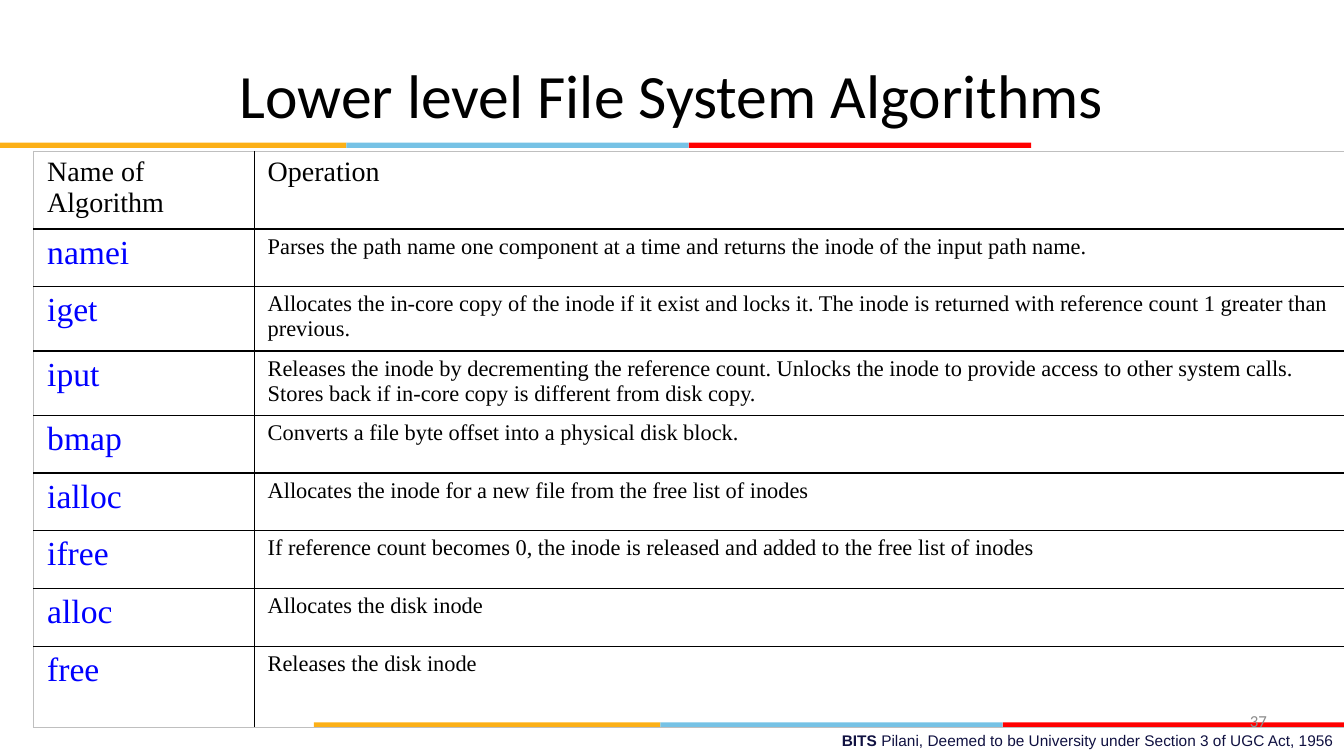
from dataclasses import dataclass

from lxml.etree import SubElement
from pptx import Presentation
from pptx.dml.color import RGBColor
from pptx.enum.shapes import MSO_SHAPE as Preset
from pptx.enum.text import MSO_ANCHOR as Anchor, MSO_AUTO_SIZE as AutoSize, PP_ALIGN as Align
from pptx.oxml.ns import qn
from pptx.slide import Slide
from pptx.table import _Cell as Cell
from pptx.text.text import TextFrame
from pptx.util import Emu, Pt


@dataclass(frozen=True)
class Theme:
    amber: str = "FCB017"
    sky: str = "76C2E5"
    red: str = "FF0000"
    black: str = "000000"
    blue: str = "0000FF"
    navy: str = "101141"
    grey: str = "8C8C8C"
    frame: str = "BFBFBF"
    title_size: int = 44
    name_size: int = 24
    header_size: int = 20
    operation_size: int = 16
    number_size: int = 12
    footer_size: int = 11
    heading_font: str = "Calibri"
    table_font: str = "Times New Roman"
    footer_font: str = "Arial"


@dataclass(frozen=True)
class Style:
    font: str
    size: int
    color: str
    bold: bool = False


@dataclass(frozen=True)
class Box:
    left: int
    top: int
    width: int
    height: int

    def emu(self) -> tuple[Emu, Emu, Emu, Emu]:
        return px(self.left), px(self.top), px(self.width), px(self.height)


@dataclass(frozen=True)
class Algorithm:
    name: str
    operation: str
    height: int = 55


THEME = Theme()
HEADER_STYLE = Style(THEME.table_font, THEME.header_size, THEME.black)
NAME_STYLE = Style(THEME.table_font, THEME.name_size, THEME.blue)
OPERATION_STYLE = Style(THEME.table_font, THEME.operation_size, THEME.black)
BAND = [(THEME.amber, 330), (THEME.sky, 326), (THEME.red, 326)]
COLUMN_WIDTHS = [210, 1038]
ROWS = [
    Algorithm("Name of Algorithm", "Operation", 65),
    Algorithm("namei", "Parses the path name one component at a time and returns the inode of the input path name."),
    Algorithm("iget", "Allocates the in-core copy of the inode if it exist and locks it. "
              "The inode is returned with reference count 1 greater than previous."),
    Algorithm("iput", "Releases the inode by decrementing the reference count. "
              "Unlocks the inode to provide access to other system calls. "
              "Stores back if in-core copy is different from disk copy."),
    Algorithm("bmap", "Converts a file byte offset into a physical disk block."),
    Algorithm("ialloc", "Allocates the inode for a new file from the free list of inodes"),
    Algorithm("ifree", "If reference count becomes 0, the inode is released and added to the free list of inodes"),
    Algorithm("alloc", "Allocates the disk inode"),
    Algorithm("free", "Releases the disk inode", 77),
]


def px(length: int) -> Emu:
    """Turn pixels into EMU."""
    return Emu(length * 9525)


def write(frame: TextFrame, runs: list[tuple[str, Style]], align: Align) -> None:
    """Fill the first paragraph of a frame run by run."""
    frame.word_wrap = True
    paragraph = frame.paragraphs[0]
    paragraph.alignment = align
    for text, style in runs:
        run = paragraph.add_run()
        run.text = text
        run.font.name = style.font
        run.font.size = Pt(style.size)
        run.font.bold = style.bold
        run.font.color.rgb = RGBColor.from_string(style.color)


def add_title(slide: Slide, text: str, box: Box) -> None:
    """Place and format the title placeholder."""
    title = slide.shapes.title
    title.left, title.top, title.width, title.height = box.emu()
    title.text_frame.auto_size = AutoSize.NONE
    title.text_frame.vertical_anchor = Anchor.MIDDLE
    style = Style(THEME.heading_font, THEME.title_size, THEME.black)
    write(title.text_frame, [(text, style)], Align.CENTER)


def add_text(slide: Slide, box: Box, runs: list[tuple[str, Style]], anchor: Anchor) -> None:
    """Add a right-aligned text box."""
    frame = slide.shapes.add_textbox(*box.emu()).text_frame
    frame.vertical_anchor = anchor
    write(frame, runs, Align.RIGHT)


def add_band(slide: Slide, left: int, top: int) -> None:
    """Draw the three-coloured band from left to right."""
    for color, width in BAND:
        bar = slide.shapes.add_shape(Preset.RECTANGLE, *Box(left, top, width, 5).emu())
        bar.shadow.inherit = False
        bar.fill.solid()
        bar.fill.fore_color.rgb = RGBColor.from_string(color)
        bar.line.fill.background()
        left += width


def set_borders(cell: Cell, outer: dict[str, bool]) -> None:
    """Draw the four cell borders, lighter on the table's outer edge."""
    properties = cell._tc.get_or_add_tcPr()
    for position, (side, is_outer) in enumerate(outer.items()):
        line = properties.makeelement(qn(f"a:{side}"), {"w": str(Pt(0.5 if is_outer else 1))})
        fill = SubElement(line, qn("a:solidFill"))
        SubElement(fill, qn("a:srgbClr"), val=THEME.frame if is_outer else THEME.black)
        properties.insert(position, line)


def add_algorithm_table(slide: Slide, left: int, top: int) -> None:
    """Add the table of algorithms and their operations."""
    box = Box(left, top, sum(COLUMN_WIDTHS), sum(row.height for row in ROWS))
    table = slide.shapes.add_table(len(ROWS), len(COLUMN_WIDTHS), *box.emu()).table
    table.first_row = table.horz_banding = False
    for column, width in zip(table.columns, COLUMN_WIDTHS):
        column.width = px(width)
    for index, row in enumerate(ROWS):
        table.rows[index].height = px(row.height)
        styles = [NAME_STYLE, OPERATION_STYLE] if index else [HEADER_STYLE] * 2
        for position, (text, style) in enumerate(zip([row.name, row.operation], styles)):
            cell = table.cell(index, position)
            cell.fill.background()
            cell.margin_left = cell.margin_right = px(13)
            cell.margin_top = cell.margin_bottom = px(5)
            write(cell.text_frame, [(text, style)], Align.LEFT)
            set_borders(cell, {
                "lnL": position == 0,
                "lnR": position == len(COLUMN_WIDTHS) - 1,
                "lnT": index == 0,
                "lnB": index == len(ROWS) - 1,
            })


def main() -> None:
    """Build and save the slide."""
    presentation = Presentation()
    presentation.slide_width, presentation.slide_height = px(1280), px(720)
    slide = presentation.slides.add_slide(presentation.slide_layouts[5])
    add_title(slide, "Lower level File System Algorithms", Box(64, 29, 1152, 120))
    add_text(slide, Box(459, 692, 821, 28), [
        ("BITS ", Style(THEME.footer_font, THEME.footer_size, THEME.navy, True)),
        ("Pilani, Deemed to be University under Section 3 of UGC Act, 1956",
         Style(THEME.footer_font, THEME.footer_size, THEME.navy)),
    ], Anchor.TOP)
    add_band(slide, 299, 688)
    add_band(slide, 0, 136)
    number_style = Style(THEME.heading_font, THEME.number_size, THEME.grey)
    add_text(slide, Box(918, 667, 298, 38), [("37", number_style)], Anchor.MIDDLE)
    add_algorithm_table(slide, 32, 144)
    presentation.save("out.pptx")


if __name__ == "__main__":
    main()
